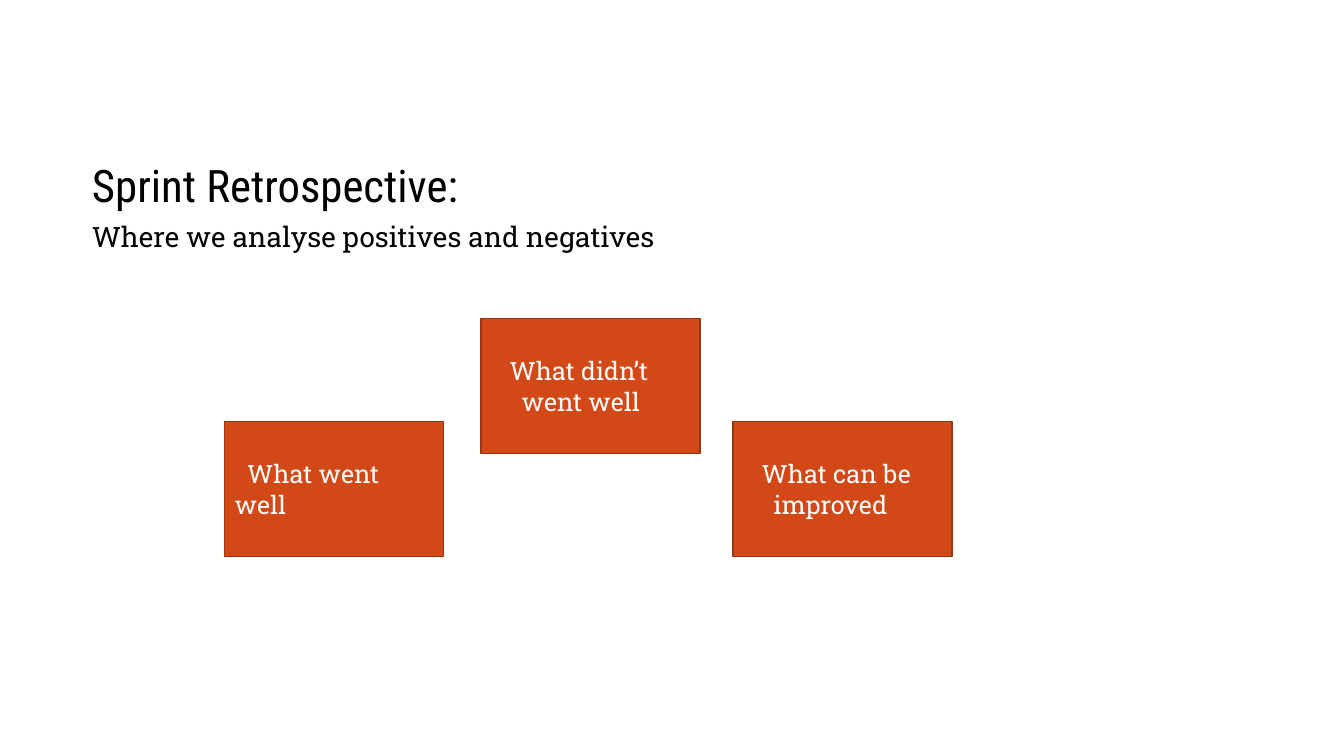
from pptx import Presentation
from pptx.dml.color import RGBColor
from pptx.enum.shapes import MSO_SHAPE as SHAPE
from pptx.enum.text import MSO_ANCHOR as ANCHOR, PP_ALIGN as ALIGN
from pptx.util import Pt

BLACK = RGBColor(0x00, 0x00, 0x00)
WHITE = RGBColor(0xFF, 0xFF, 0xFF)
ORANGE = RGBColor(0xD3, 0x48, 0x17)
RUST = RGBColor(0x9C, 0x35, 0x11)


class RetroSlide:
    heading_font = "Roboto Condensed"
    body_font = "Roboto Slab"
    card_w, card_h = 156.5, 96.5

    def __init__(self, prs):
        self.s = prs.slides.add_slide(prs.slide_layouts[5])

    def set_text(self, p, text, font, size, color):
        p.text = text
        p.alignment = ALIGN.LEFT
        p.font.name = font
        p.font.size = Pt(size)
        p.font.color.rgb = color

    def heading(self, sp, top, height, text, font, size):
        sp.left, sp.top, sp.width, sp.height = Pt(58.5), Pt(top), Pt(792), Pt(height)
        tf = sp.text_frame
        tf.word_wrap = True
        tf.vertical_anchor = ANCHOR.TOP
        self.set_text(tf.paragraphs[0], text, font, size, BLACK)

    def title(self, text):
        self.heading(self.s.shapes.title, 109, 44, text, self.heading_font, 32)

    def subtitle(self, text):
        sp = self.s.shapes.add_textbox(0, 0, 0, 0)
        self.heading(sp, 153.5, 34, text, self.body_font, 20)

    def card(self, left, top, lines):
        sp = self.s.shapes.add_shape(
            SHAPE.RECTANGLE, Pt(left), Pt(top), Pt(self.card_w), Pt(self.card_h))
        sp.shadow.inherit = False
        sp.fill.solid()
        sp.fill.fore_color.rgb = ORANGE
        sp.line.color.rgb = RUST
        sp.line.width = Pt(1)
        tf = sp.text_frame
        tf.word_wrap = True
        tf.vertical_anchor = ANCHOR.MIDDLE
        for i, (text, indent) in enumerate(lines):
            p = tf.paragraphs[0] if i == 0 else tf.add_paragraph()
            self.set_text(p, text, self.body_font, 18, WHITE)
            pPr = p._p.get_or_add_pPr()
            pPr.set("marL", "0")
            pPr.set("indent", str(Pt(indent)))


def main():
    prs = Presentation()
    prs.slide_width, prs.slide_height = Pt(960), Pt(540)
    slide = RetroSlide(prs)
    slide.title("Sprint Retrospective:")
    slide.subtitle("Where we analyse positives and negatives")
    cards = [
        (160.5, 301, [("What went well", 9)]),
        (343.5, 227.5, [("What didn’t", 13.5), ("went well", 22)]),
        (523.5, 301, [("What can be", 13.5), ("improved", 22)]),
    ]
    for left, top, lines in cards:
        slide.card(left, top, lines)
    prs.save("out.pptx")


if __name__ == "__main__":
    main()
